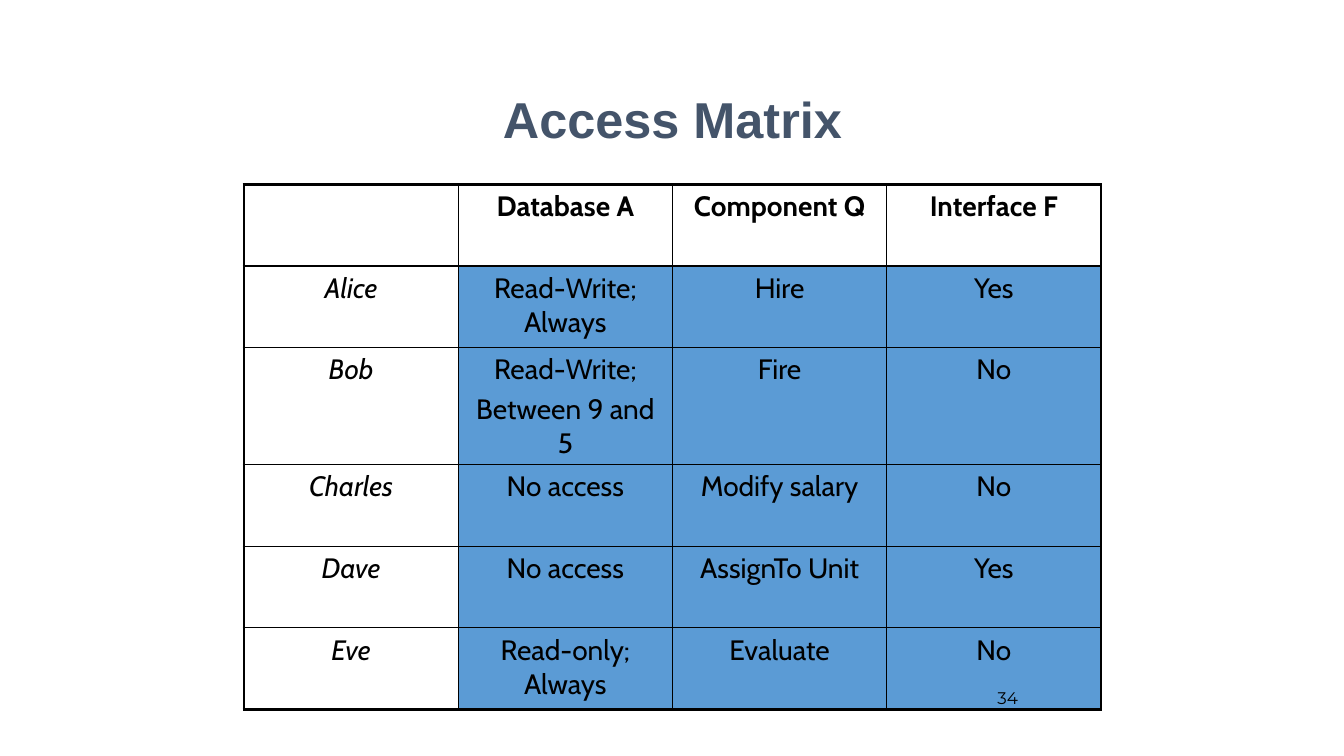
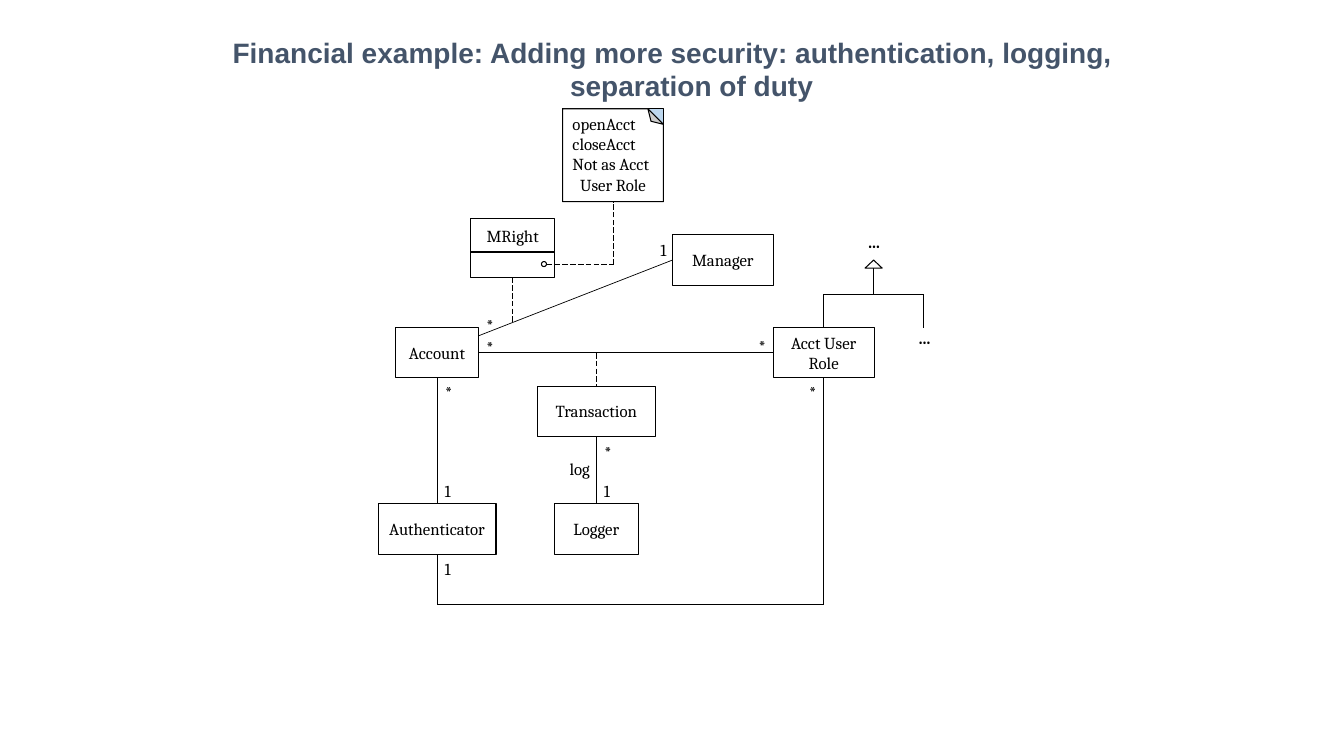
from dataclasses import dataclass

from lxml import etree
from pptx import Presentation
from pptx.dml.color import RGBColor
from pptx.enum.dml import MSO_LINE
from pptx.enum.shapes import MSO_CONNECTOR, MSO_SHAPE
from pptx.enum.text import MSO_ANCHOR, PP_ALIGN
from pptx.oxml.ns import qn
from pptx.util import Inches, Pt

LEFT, CENTER = PP_ALIGN.LEFT, PP_ALIGN.CENTER
TOP, MIDDLE = MSO_ANCHOR.TOP, MSO_ANCHOR.MIDDLE
RECTANGLE, ELLIPSE = MSO_SHAPE.RECTANGLE, MSO_SHAPE.OVAL
TRIANGLE, FOLDED_CORNER = MSO_SHAPE.ISOSCELES_TRIANGLE, MSO_SHAPE.FOLDED_CORNER
STRAIGHT, DASH = MSO_CONNECTOR.STRAIGHT, MSO_LINE.LONG_DASH

BLACK, WHITE = "000000", "FFFFFF"
TITLE_COLOR, CELL_BLUE, FOLD_BLUE = "44546A", "5B9BD5", "BDD7EE"
TITLE_FONT, TABLE_FONT = "Arial", "Cabin"
DIAGRAM_FONT, NUMBER_FONT = "Cambria", "Montserrat"

ACCESS_ROWS = [
    ["", "Database A", "Component Q", "Interface F"],
    ["Alice", "Read-Write; Always", "Hire", "Yes"],
    ["Bob", "Read-Write;\nBetween 9 and 5", "Fire", "No"],
    ["Charles", "No access", "Modify salary", "No"],
    ["Dave", "No access", "AssignTo Unit", "Yes"],
    ["Eve", "Read-only; Always", "Evaluate", "No"],
]


@dataclass
class Box:
    left: float
    top: float
    width: float
    height: float

    @property
    def right(self):
        return self.left + self.width

    @property
    def bottom(self):
        return self.top + self.height

    @property
    def middle_x(self):
        return self.left + self.width / 2

    @property
    def middle_y(self):
        return self.top + self.height / 2

    def inches(self):
        return [Inches(v) for v in (self.left, self.top, self.width, self.height)]

    def inside(self, left, top, width, height):
        """Give a box whose place is measured from this one's corner."""
        return Box(self.left + left, self.top + top, width, height)


def color(hex_value):
    return RGBColor.from_string(hex_value)


def write(frame, text, font=DIAGRAM_FONT, size=12, fill=BLACK, bold=False,
          italic=False, align=CENTER, gap=0):
    """Fill a text frame, one paragraph a line, and return the paragraphs."""
    frame.word_wrap = True
    for index, line in enumerate(text.split("\n")):
        paragraph = frame.add_paragraph() if index else frame.paragraphs[0]
        paragraph.alignment = align
        if index and gap:
            paragraph.space_before = Pt(gap)
        run = paragraph.add_run()
        run.text = line
        run.font.name = font
        run.font.size = Pt(size)
        run.font.bold = bold
        run.font.italic = italic
        run.font.color.rgb = color(fill)
    return frame.paragraphs


def add_text(slide, box, text, anchor=TOP, **text_format):
    frame = slide.shapes.add_textbox(*box.inches()).text_frame
    frame.vertical_anchor = anchor
    return write(frame, text, **text_format)


def add_title(slide, box, text, size):
    for paragraph in add_text(slide, box, text, font=TITLE_FONT, size=size,
                              fill=TITLE_COLOR, bold=True):
        properties = paragraph._p.get_or_add_pPr()
        properties.set("marL", str(Inches(0.38)))
        properties.set("indent", str(Inches(-0.38)))


def add_shape(slide, box, kind=RECTANGLE, fill=WHITE, text=None):
    shape = slide.shapes.add_shape(kind, *box.inches())
    shape.shadow.inherit = False
    shape.fill.solid()
    shape.fill.fore_color.rgb = color(fill)
    shape.line.color.rgb = color(BLACK)
    shape.line.width = Pt(0.75)
    if text:
        frame = shape.text_frame
        frame.margin_left = frame.margin_right = Inches(0.05)
        frame.vertical_anchor = MIDDLE
        write(frame, text)
    return shape


def add_path(slide, *points, dashed=False):
    """Join the points with straight lines."""
    for start, end in zip(points, points[1:]):
        line = slide.shapes.add_connector(
            STRAIGHT, *[Inches(value) for value in (*start, *end)])
        etree.SubElement(line._element.spPr, qn("a:effectLst"))
        line.line.color.rgb = color(BLACK)
        line.line.width = Pt(0.5)
        if dashed:
            line.line.dash_style = DASH


def set_borders(cell, widths):
    """Draw the left, right, top and bottom borders, widths in points."""
    properties = cell._tc.get_or_add_tcPr()
    for side, width in zip("LRTB", widths):
        border = etree.SubElement(properties, qn(f"a:ln{side}"), w=str(Pt(width)))
        solid = etree.SubElement(border, qn("a:solidFill"))
        etree.SubElement(solid, qn("a:srgbClr"), val=BLACK)


def add_access_table(slide, box, rows):
    row_count, column_count = len(rows), len(rows[0])
    table = slide.shapes.add_table(row_count, column_count, *box.inches()).table
    table.first_row = table.horz_banding = False
    for column in table.columns:
        column.width = Inches(box.width / column_count)
    for r, texts in enumerate(rows):
        table.rows[r].height = Inches(1.16 if "\n" in texts[1] else 0.81)
        for c, text in enumerate(texts):
            cell = table.cell(r, c)
            outer = (c == 0, c == column_count - 1, r == 0, r == row_count - 1)
            set_borders(cell, [2.25 if edge else 1 for edge in outer])
            if r and c:
                cell.fill.solid()
                cell.fill.fore_color.rgb = color(CELL_BLUE)
            else:
                cell.fill.background()
            if text:
                write(cell.text_frame, text, font=TABLE_FONT, size=20, gap=4,
                      bold=r == 0, italic=c == 0)


def add_note(slide, box):
    """Draw a note whose folded corner is at the top right."""
    add_shape(slide, box, fill=FOLD_BLUE)
    turned = Box(box.middle_x - box.height / 2, box.middle_y - box.width / 2,
                 box.height, box.width)
    add_shape(slide, turned, FOLDED_CORNER).rotation = 270
    paragraphs = add_text(slide, box, "openAcct\ncloseAcct\nNot as Acct\nUser Role",
                          align=LEFT)
    paragraphs[-1].alignment = CENTER


def add_right_class(slide, name_box, operations, note):
    """Draw the MRight class and tie its operation to the note."""
    add_shape(slide, name_box, text="MRight")
    add_shape(slide, operations)
    circle = Box(operations.right - 0.13, operations.middle_y - 0.03, 0.05, 0.05)
    add_path(slide, (circle.right, operations.middle_y),
             (note.middle_x, operations.middle_y),
             (note.middle_x, note.bottom), dashed=True)
    add_shape(slide, circle, ELLIPSE)


def add_generalization(slide, arrow, child):
    """Draw the tree that leads from the child class up to the arrow."""
    bar_y = child.top - 0.33
    sibling_x = 2 * arrow.middle_x - child.middle_x
    add_path(slide, (child.middle_x, child.top), (child.middle_x, bar_y),
             (sibling_x, bar_y), (sibling_x, child.top))
    add_path(slide, (arrow.middle_x, bar_y), (arrow.middle_x, arrow.top))
    add_shape(slide, arrow, TRIANGLE)


def add_class_diagram(slide, area):
    account = area.inside(0.17, 2.17, 0.83, 0.5)
    authenticator = area.inside(0, 3.92, 1.17, 0.5)
    logger = area.inside(1.75, 3.92, 0.83, 0.5)
    transaction = area.inside(1.58, 2.75, 1.17, 0.5)
    user_role = area.inside(3.92, 2.17, 1, 0.5)
    manager = area.inside(2.92, 1.25, 1, 0.5)
    right_name = area.inside(0.92, 1.09, 0.83, 0.33)
    operations = Box(right_name.left, right_name.bottom, 0.83, 0.25)
    note = area.inside(1.83, 0, 1, 0.92)

    loop_y = authenticator.bottom + 0.5
    add_path(slide, (transaction.middle_x, transaction.bottom),
             (transaction.middle_x, logger.top))
    add_path(slide, (account.middle_x, account.bottom),
             (account.middle_x, authenticator.top))
    add_path(slide, (account.middle_x, authenticator.bottom),
             (account.middle_x, loop_y), (user_role.middle_x, loop_y),
             (user_role.middle_x, user_role.bottom))
    add_path(slide, (account.right, account.middle_y),
             (user_role.left, user_role.middle_y))
    add_path(slide, (account.right, account.top + 0.08),
             (manager.left, manager.middle_y))
    add_path(slide, (transaction.middle_x, account.middle_y),
             (transaction.middle_x, transaction.top), dashed=True)
    add_path(slide, (operations.middle_x, operations.bottom),
             (operations.middle_x, account.top - 0.04), dashed=True)

    classes = [("Account", account), ("Authenticator", authenticator),
               ("Logger", logger), ("Transaction", transaction),
               ("Acct User Role", user_role), ("Manager", manager)]
    for name, box in classes:
        add_shape(slide, box, text=name)
    add_generalization(slide, area.inside(4.83, 1.5, 0.17, 0.08), user_role)
    add_note(slide, note)
    add_right_class(slide, right_name, operations, note)

    labels = {
        "1": [(2.27, 3.64), (2.83, 1.25), (0.69, 3.64), (0.69, 4.41)],
        "*": [(2.28, 3.25), (0.7, 2.66), (1.11, 2.21), (1.11, 1.99),
              (3.81, 2.2), (4.31, 2.66)],
        "log": [(2, 3.42)],
        "…": [(4.92, 1.17), (5.42, 2.12)],
    }
    for text, places in labels.items():
        for middle, top in places:
            add_text(slide, area.inside(middle - 0.25, top, 0.5, 0.3), text,
                     bold=text == "…")


def build_access_slide(slide):
    add_title(slide, Box(2.17, 0.83, 9, 1), "Access Matrix", 36)
    add_access_table(slide, Box(2.42, 1.83, 8.5, 5.21), ACCESS_ROWS)
    add_text(slide, Box(8.83, 6.67, 2.33, 0.5), "34", anchor=MIDDLE,
             font=NUMBER_FONT)


def build_financial_slide(slide):
    add_class_diagram(slide, Box(3.75, 1.08, 5.67, 4.92))
    add_title(slide, Box(2.17, 0.3, 9, 0.78),
              "Financial example: Adding more security: authentication, "
              "logging, separation of duty", 20)


def main():
    presentation = Presentation()
    presentation.slide_width = Inches(13.33)
    presentation.slide_height = Inches(7.5)
    blank = presentation.slide_layouts[6]
    for build in (build_access_slide, build_financial_slide):
        build(presentation.slides.add_slide(blank))
    presentation.save("out.pptx")


if __name__ == "__main__":
    main()
